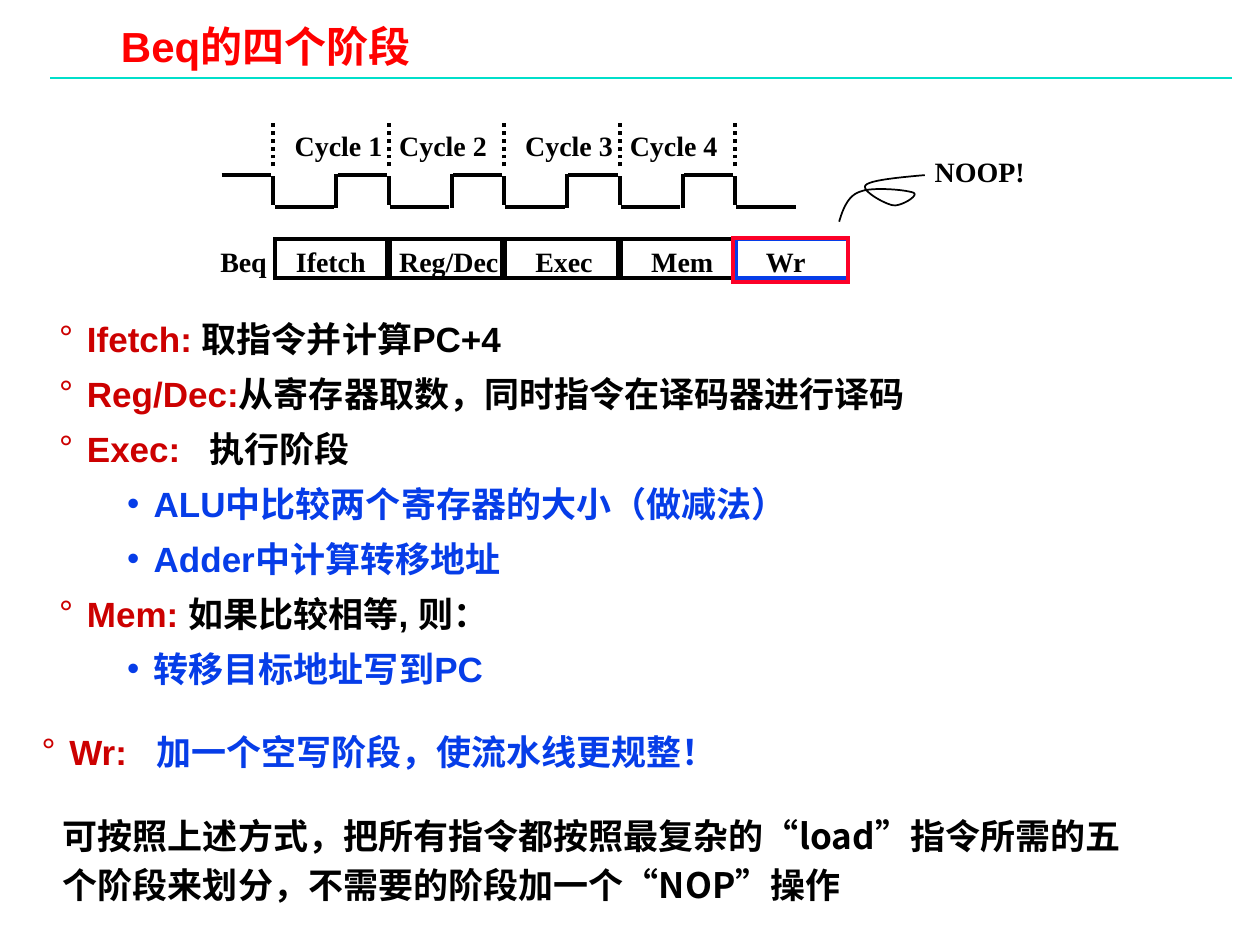
from dataclasses import dataclass

from lxml import etree
from pptx import Presentation
from pptx.dml.color import RGBColor
from pptx.enum.dml import MSO_LINE
from pptx.enum.shapes import MSO_CONNECTOR, MSO_SHAPE
from pptx.enum.text import MSO_ANCHOR
from pptx.oxml.ns import qn
from pptx.util import Inches, Pt

STRAIGHT = MSO_CONNECTOR.STRAIGHT
RECTANGLE = MSO_SHAPE.RECTANGLE
DOTTED = MSO_LINE.ROUND_DOT
TOP = MSO_ANCHOR.TOP


@dataclass(frozen=True)
class Theme:
    black: str = "000000"
    title: str = "FF0000"
    term: str = "CC0000"
    blue: str = "063DE8"
    frame: str = "FC0128"
    rule: str = "00DFCA"
    sans: str = "Arial"
    serif: str = "Times New Roman"
    chinese: str = "Noto Sans CJK SC"
    title_size: int = 24
    body_size: int = 20
    label_size: int = 16


THEME = Theme()
FIRST_EDGE = 2.17
CYCLE_WIDTH = 0.916
HIGH, LOW = 1.39, 1.64

CYCLES = [("Cycle 1", 2.24), ("Cycle 2", 3.07), ("Cycle 3", 4.07), ("Cycle 4", 4.9)]
STAGES = [("Ifetch", 2.25, 0.75), ("Reg/Dec", 3.07, 0.99), ("Exec", 4.15, 0.65),
          ("Mem", 5.07, 0.69), ("Wr", 5.98, 0.52)]

STEPS = [
    (0, [("Ifetch: ", THEME.term), ("取指令并计算PC+4", THEME.black)], None),
    (0, [("Reg/Dec:", THEME.term),
         ("从寄存器取数，同时指令在译码器进行译码", THEME.black)], None),
    (0, [("Exec:\t", THEME.term), ("执行阶段", THEME.black)], 1.19),
    (1, [("ALU中比较两个寄存器的大小（做减法）", THEME.blue)], None),
    (1, [("Adder中计算转移地址", THEME.blue)], None),
    (0, [("Mem: ", THEME.term), ("如果比较相等, 则：", THEME.black)], None),
    (1, [("转移目标地址写到PC", THEME.blue)], None),
]
WRITE_STEP = [(0, [("Wr:\t", THEME.term),
                   ("加一个空写阶段，使流水线更规整！", THEME.blue)], 0.91)]
BULLETS = [("°", THEME.term, 0.22, -0.22), ("•", THEME.blue, 0.75, -0.21)]

CURVE_START = (6.66, 1.76)
CURVE = [
    ((6.69, 1.66), (6.73, 1.55), (6.83, 1.52)),
    ((6.93, 1.48), (7.21, 1.51), (7.25, 1.53)),
    ((7.3, 1.55), (7.15, 1.64), (7.09, 1.63)),
    ((7.02, 1.62), (6.83, 1.51), (6.87, 1.47)),
    ((6.91, 1.43), (7.12, 1.41), (7.34, 1.39)),
]


def color(value):
    return RGBColor.from_string(value)


def add_line(slide, start, end, line_color=THEME.black, width=2.25, dash=None):
    points = [Inches(value) for value in (*start, *end)]
    connector = slide.shapes.add_connector(STRAIGHT, *points)
    connector.line.color.rgb = color(line_color)
    connector.line.width = Pt(width)
    if dash:
        connector.line.dash_style = dash
    etree.SubElement(connector._element.spPr, qn("a:effectLst"))


def add_box(slide, left, top, width, height, line_color, line_width=2.25):
    shape = slide.shapes.add_shape(
        RECTANGLE, Inches(left), Inches(top), Inches(width), Inches(height))
    shape.shadow.inherit = False
    shape.fill.background()
    shape.line.color.rgb = color(line_color)
    shape.line.width = Pt(line_width)
    outline = shape._element.spPr.find(qn("a:ln"))
    etree.SubElement(outline, qn("a:miter"), lim="800000")


def add_text_frame(slide, left, top, width, height, inset=(0.1, 0.05)):
    shape = slide.shapes.add_textbox(
        Inches(left), Inches(top), Inches(width), Inches(height))
    frame = shape.text_frame
    frame.word_wrap = True
    frame.vertical_anchor = TOP
    frame.margin_left = frame.margin_right = Inches(inset[0])
    frame.margin_top = frame.margin_bottom = Inches(inset[1])
    return frame


def set_font(font, name, size, font_color=None):
    font.name = name
    font.size = Pt(size)
    font.bold = True
    if font_color:
        font.color.rgb = color(font_color)


def write(frame, text, name, size, font_color=THEME.black, spacing=None):
    paragraph = frame.paragraphs[0]
    paragraph.text = text
    if spacing:
        paragraph.line_spacing = spacing
    set_font(paragraph.font, name, size, font_color)


def add_label(slide, text, left, top, width):
    frame = add_text_frame(slide, left, top, width, 0.36)
    frame.margin_right = 0
    write(frame, text, THEME.serif, THEME.label_size)


def add_bullet(paragraph, level, tab):
    character, bullet_color, margin, indent = BULLETS[level]
    properties = paragraph._p.get_or_add_pPr()
    properties.set("marL", str(Inches(margin)))
    properties.set("indent", str(Inches(indent)))
    holder = etree.SubElement(properties, qn("a:buClr"))
    etree.SubElement(holder, qn("a:srgbClr"), val=bullet_color)
    etree.SubElement(properties, qn("a:buFont"), typeface=THEME.sans)
    etree.SubElement(properties, qn("a:buChar"), char=character)
    if tab:
        tabs = etree.SubElement(properties, qn("a:tabLst"))
        etree.SubElement(tabs, qn("a:tab"), pos=str(Inches(tab)), algn="l")


def add_steps(slide, left, top, width, height, steps, spacing):
    frame = add_text_frame(slide, left, top, width, height, inset=(0.07, 0.03))
    for index, (level, parts, tab) in enumerate(steps):
        paragraph = frame.add_paragraph() if index else frame.paragraphs[0]
        paragraph.level = level
        paragraph.line_spacing = spacing
        paragraph.space_before = Pt(5 if index else 0)
        add_bullet(paragraph, level, tab)
        set_font(paragraph.font, THEME.sans, THEME.body_size)
        for text, run_color in parts:
            run = paragraph.add_run()
            run.text = text
            run.font.color.rgb = color(run_color)


def add_clock(slide):
    add_line(slide, (1.76, HIGH), (2.15, HIGH))
    for index in range(len(STAGES)):
        edge = FIRST_EDGE + index * CYCLE_WIDTH
        add_line(slide, (edge, 1.32), (edge, 0.96), dash=DOTTED)
        add_line(slide, (edge, 1.4), (edge, 1.63))
        add_line(slide, (edge + 0.01, LOW), (edge + 0.48, LOW))
        if index < len(CYCLES):
            add_line(slide, (edge + 0.5, 1.65), (edge + 0.5, 1.38))
            add_line(slide, (edge + 0.51, HIGH), (edge + 0.9, HIGH))
    for text, left in CYCLES:
        add_label(slide, text, left, 0.97, 0.89)


def add_stages(slide):
    add_label(slide, "Beq", 1.65, 1.89, 0.57)
    for index, (text, left, width) in enumerate(STAGES):
        edge = FIRST_EDGE + index * CYCLE_WIDTH
        line_color = THEME.blue if text == "Wr" else THEME.black
        add_box(slide, edge + 0.01, 1.9, 0.89, 0.31, line_color)
        add_label(slide, text, left, 1.89, width)
    add_box(slide, 5.82, 1.89, 0.91, 0.35, THEME.frame)


def curve_points(start, segments, steps=12):
    for first, second, end in segments:
        for step in range(1, steps + 1):
            t = step / steps
            u = 1 - t
            yield tuple(
                Inches(u**3 * a + 3 * u**2 * t * b + 3 * u * t**2 * c + t**3 * d)
                for a, b, c, d in zip(start, first, second, end))
        start = end


def add_callout(slide):
    builder = slide.shapes.build_freeform(*(Inches(value) for value in CURVE_START))
    builder.add_line_segments(list(curve_points(CURVE_START, CURVE)), close=False)
    shape = builder.convert_to_shape()
    shape.shadow.inherit = False
    shape.fill.background()
    shape.line.color.rgb = color(THEME.black)
    shape.line.width = Pt(1)
    add_label(slide, "NOOP!", 7.32, 1.18, 0.91)


def main():
    presentation = Presentation()
    presentation.slide_width, presentation.slide_height = Inches(10), Inches(7.5)
    slide = presentation.slides.add_slide(presentation.slide_layouts[6])
    add_line(slide, (0.4, 0.62), (9.78, 0.62), THEME.rule, 1)
    title = add_text_frame(slide, 0.89, 0.19, 5.19, 0.4, inset=(0.07, 0.03))
    write(title, "Beq的四个阶段", THEME.sans, THEME.title_size, THEME.title, 0.87)
    add_steps(slide, 0.4, 2.46, 8.96, 3.27, STEPS, 1.1)
    add_clock(slide)
    add_stages(slide)
    add_callout(slide)
    add_steps(slide, 0.26, 5.75, 5.76, 0.41, WRITE_STEP, 1.05)
    summary = add_text_frame(slide, 0.4, 6.36, 8.68, 0.88)
    write(summary, "可按照上述方式，把所有指令都按照最复杂的“load”指令所需的五个阶段来划分，"
          "不需要的阶段加一个“NOP”操作", THEME.chinese, THEME.body_size, spacing=Pt(28))
    presentation.save("out.pptx")


if __name__ == "__main__":
    main()
